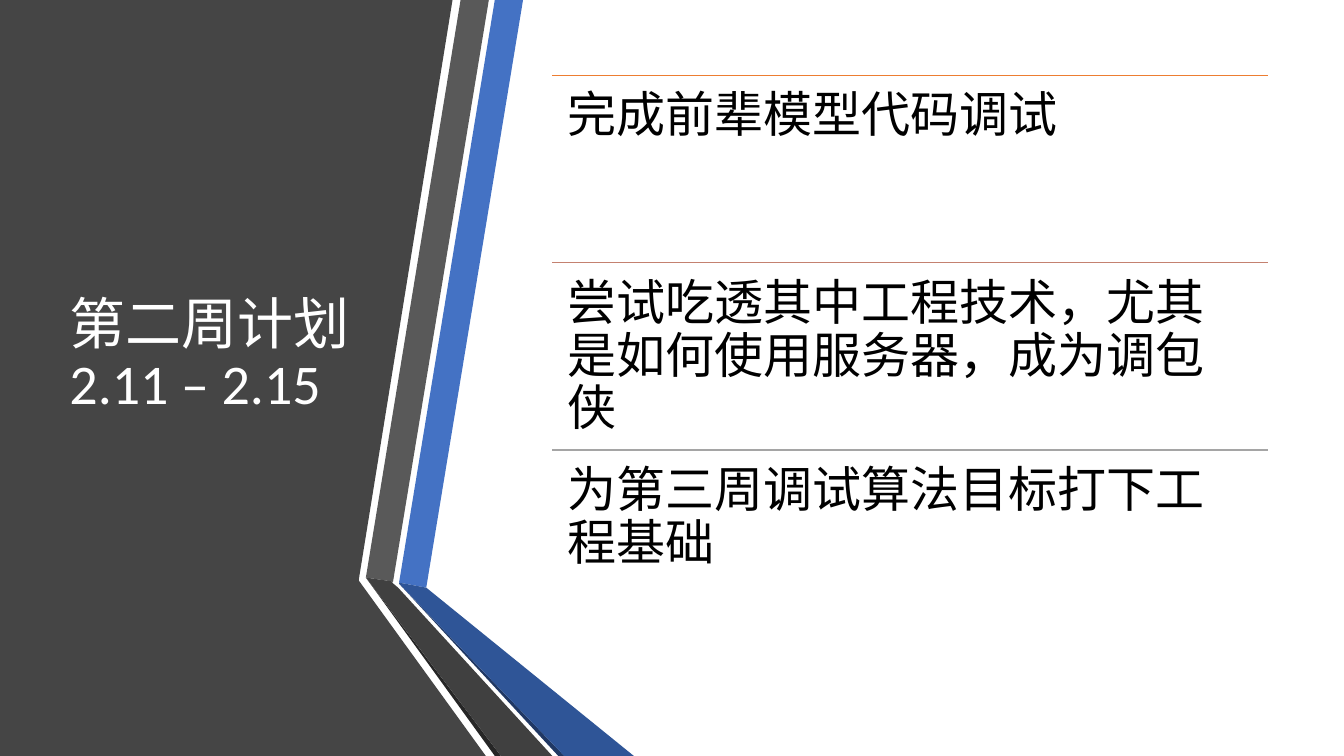
from lxml import etree
from pptx import Presentation
from pptx.dml.color import RGBColor
from pptx.enum.shapes import MSO_CONNECTOR
from pptx.enum.text import MSO_ANCHOR, MSO_AUTO_SIZE, PP_ALIGN
from pptx.oxml.ns import qn
from pptx.util import Cm, Pt

STRAIGHT = MSO_CONNECTOR.STRAIGHT
LEFT = PP_ALIGN.LEFT
TOP, MIDDLE = MSO_ANCHOR.TOP, MSO_ANCHOR.MIDDLE
NO_AUTOFIT = MSO_AUTO_SIZE.NONE

WHITE = RGBColor(0xFF, 0xFF, 0xFF)
BLACK = RGBColor(0x00, 0x00, 0x00)
PANEL_GREY = RGBColor(0x45, 0x45, 0x45)
BLUE = RGBColor(0x44, 0x72, 0xC4)
FOLD_BLUE = RGBColor(0x2F, 0x55, 0x97)
EDGE_BLUE = RGBColor(0x20, 0x38, 0x64)
GREY = RGBColor(0x59, 0x59, 0x59)
FOLD_GREY = RGBColor(0x40, 0x40, 0x40)
EDGE_GREY = RGBColor(0x26, 0x26, 0x26)
ORANGE = RGBColor(0xED, 0x7D, 0x31)
ROSE = RGBColor(0xC4, 0x81, 0x70)
SILVER = RGBColor(0xA5, 0xA5, 0xA5)

OUTLINE_UNIT = Cm(0.0254)  # outline points are hundredths of an inch


def add_outline(shapes, points, color):
    builder = shapes.build_freeform(*points[0], scale=OUTLINE_UNIT)
    builder.add_line_segments(points[1:], close=True)
    shape = builder.convert_to_shape()
    shape.shadow.inherit = False
    shape.fill.solid()
    shape.fill.fore_color.rgb = color
    shape.line.fill.background()


def write_text(shape, text, size, color, anchor, inset):
    frame = shape.text_frame
    frame.word_wrap = True
    frame.auto_size = NO_AUTOFIT
    frame.vertical_anchor = anchor
    frame.margin_left = frame.margin_right = inset
    frame.margin_top = frame.margin_bottom = inset
    paragraph = frame.paragraphs[0]
    paragraph.text = text
    paragraph.alignment = LEFT
    paragraph.line_spacing = 0.9
    for run in paragraph.runs:
        run.font.name = "Calibri"
        run.font.size = Pt(size)
        run.font.color.rgb = color


presentation = Presentation()
presentation.slide_width = Cm(33.87)
presentation.slide_height = Cm(19.05)
slide = presentation.slides.add_slide(presentation.slide_layouts[5])

# Dark panel and the folded ribbons beside it
panel = [(0, 0), (353, 0), (449, 0), (356, 575), (356, 576), (482, 750), (0, 750)]
add_outline(slide.shapes, panel, PANEL_GREY)

ribbons = [
    ([(396, 578), (423, 583), (519, 0), (491, 0)], BLUE),
    ([(485, 0), (457, 0), (363, 573), (390, 577)], GREY),
    ([(363, 573), (491, 750), (497, 750)], EDGE_GREY),
    ([(396, 579), (554, 750), (560, 750)], EDGE_BLUE),
    ([(396, 579), (560, 750), (629, 750), (423, 583), (396, 578)], FOLD_BLUE),
    ([(548, 750), (395, 583), (389, 578), (390, 577), (363, 573), (497, 750)], FOLD_GREY),
]
ribbon_group = slide.shapes.add_group_shape()
for points, color in ribbons:
    add_outline(ribbon_group.shapes, points, color)

# Title, brought in front of the panel
title = slide.shapes.title
title.left, title.top, title.width, title.height = Cm(1.5), Cm(1.9), Cm(7.72), Cm(14.17)
write_text(title, "第二周计划\v2.11 – 2.15", 40, WHITE, MIDDLE, Cm(0.25))
title.element.getparent().append(title.element)

# Plan items, each under its own rule
plan_left, plan_top, plan_width, item_height = Cm(13.92), Cm(1.9), Cm(18.03), Cm(4.72)
plan_items = [
    ("完成前辈模型代码调试", ORANGE),
    ("尝试吃透其中工程技术，尤其是如何使用服务器，成为调包侠", ROSE),
    ("为第三周调试算法目标打下工程基础", SILVER),
]
for index, (text, color) in enumerate(plan_items):
    top = plan_top + index * item_height
    rule = slide.shapes.add_connector(STRAIGHT, plan_left, top, plan_left + plan_width, top)
    rule.line.color.rgb = color
    rule.line.width = Pt(1)
    etree.SubElement(rule.element.spPr, qn("a:effectLst"))
    item = slide.shapes.add_textbox(plan_left, top, plan_width, item_height)
    write_text(item, text, 35, BLACK, TOP, Cm(0.38))

presentation.save("out.pptx")
